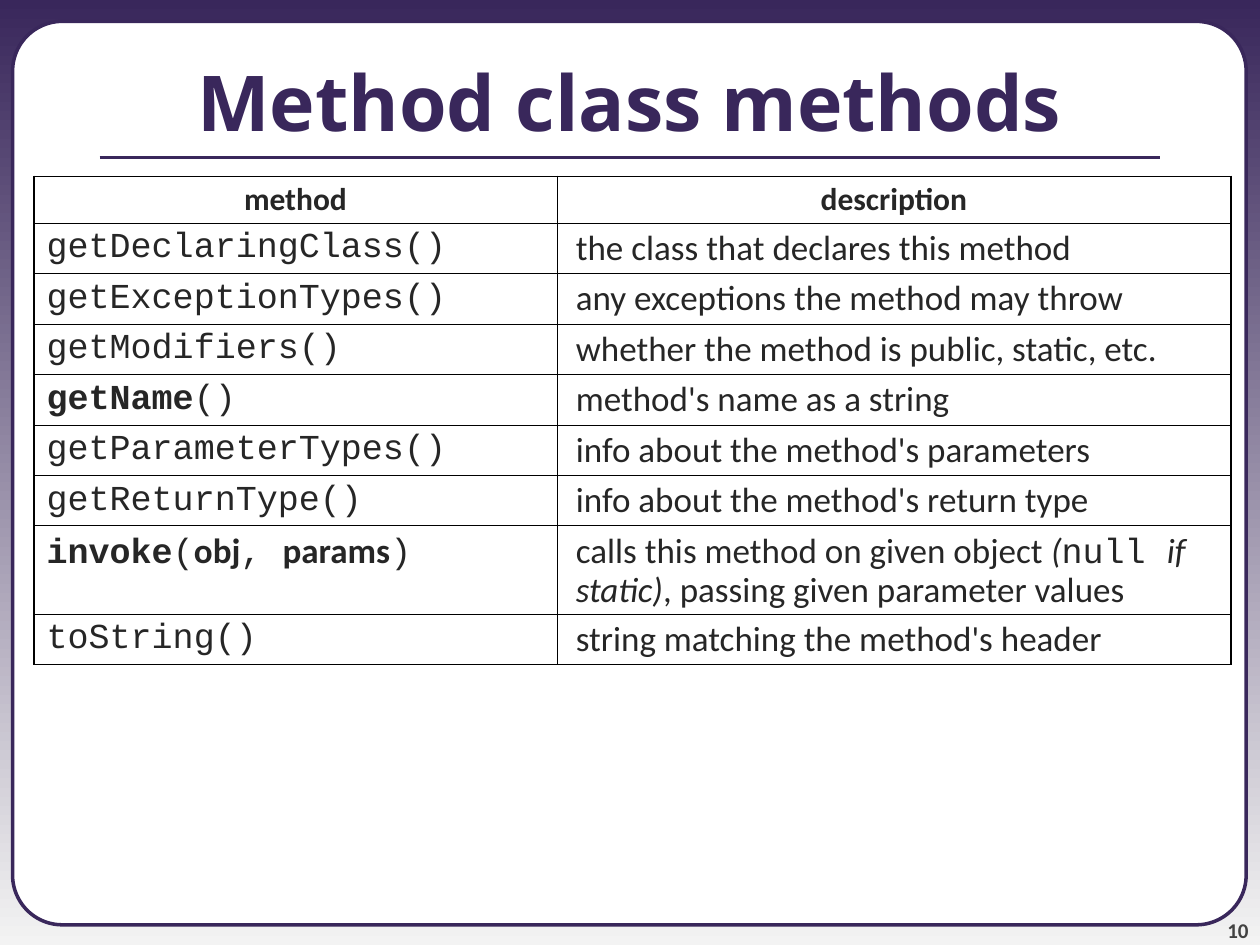
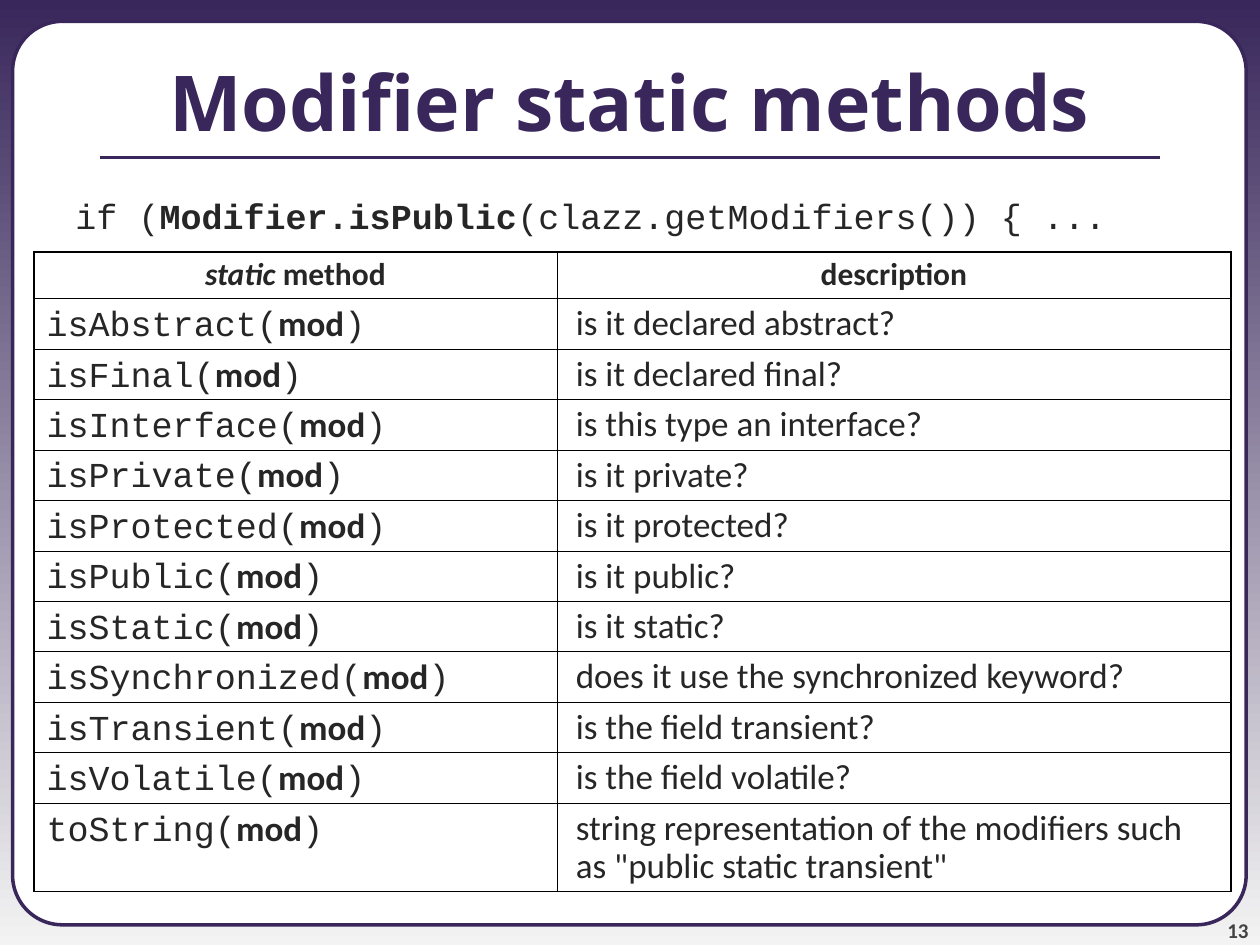
from lxml.etree import SubElement
from pptx import Presentation
from pptx.dml.color import RGBColor
from pptx.enum.shapes import MSO_CONNECTOR, MSO_SHAPE
from pptx.enum.text import MSO_ANCHOR, PP_ALIGN
from pptx.oxml import parse_xml
from pptx.oxml.ns import nsdecls, qn
from pptx.util import Inches, Pt

PURPLE = RGBColor(0x39, 0x27, 0x5B)
PALE = RGBColor(0xF3, 0xF3, 0xF3)
WHITE = RGBColor(0xFF, 0xFF, 0xFF)
INK = RGBColor(0x26, 0x26, 0x26)
GRAY = RGBColor(0x42, 0x42, 0x42)

# Run formats
TITLE = {"name": "Open Sans", "size": Pt(44), "bold": True}
NUMBER = {"name": "Calibri", "size": Pt(12), "bold": True}
HEAD = {"name": "Calibri", "size": Pt(18), "bold": True}
HEAD_ITALIC = {**HEAD, "italic": True}
TEXT = {"name": "Calibri", "size": Pt(20), "bold": False}
ITALIC = {**TEXT, "italic": True}
PARAM = {**TEXT, "bold": True}
CODE = {**TEXT, "name": "Courier New"}
CODE_BOLD = {**CODE, "bold": True}

COLUMNS = (4.15, 5.35)
HEAD_HEIGHT, LINE_HEIGHT, TWO_LINE_HEIGHT = 0.37, 0.4, 0.7
OUTER, INNER = Pt(1.08), Pt(0.45)

# Table rows: a list of (text, format) runs for each cell
method_rows = [
    ([("method", HEAD)], [("description", HEAD)]),
    ([("getDeclaringClass()", CODE)], [("the class that declares this method", TEXT)]),
    ([("getExceptionTypes()", CODE)], [("any exceptions the method may throw", TEXT)]),
    ([("getModifiers()", CODE)], [("whether the method is public, static, etc.", TEXT)]),
    ([("getName", CODE_BOLD), ("()", CODE)], [("method's name as a string", TEXT)]),
    ([("getParameterTypes()", CODE)], [("info about the method's parameters", TEXT)]),
    ([("getReturnType()", CODE)], [("info about the method's return type", TEXT)]),
    ([("invoke", CODE_BOLD), ("(", CODE), ("obj", PARAM), (", ", CODE),
      ("params", PARAM), (")", CODE)],
     [("calls this method on given object ", TEXT), ("(", ITALIC), ("null ", CODE),
      ("if static)", ITALIC), (", passing given parameter values", TEXT)]),
    ([("toString()", CODE)], [("string matching the method's header", TEXT)]),
]

modifier_checks = [
    ("isAbstract", "is it declared abstract?"),
    ("isFinal", "is it declared final?"),
    ("isInterface", "is this type an interface?"),
    ("isPrivate", "is it private?"),
    ("isProtected", "is it protected?"),
    ("isPublic", "is it public?"),
    ("isStatic", "is it static?"),
    ("isSynchronized", "does it use the synchronized keyword?"),
    ("isTransient", "is the field transient?"),
    ("isVolatile", "is the field volatile?"),
    ("toString", 'string representation of the modifiers such as "public static transient"'),
]
modifier_rows = [([("static", HEAD_ITALIC), (" method", HEAD)], [("description", HEAD)])]
for name, meaning in modifier_checks:
    modifier_rows.append(([(name + "(", CODE), ("mod", PARAM), (")", CODE)], [(meaning, TEXT)]))

modifier_code = [("if (", CODE), ("Modifier.isPublic", CODE_BOLD),
                 ("(clazz.getModifiers()) { ...", CODE)]

# title, page number, code line, table top, table rows, index of the two-line row
slides = [
    ("Method class methods", "10", None, 1.4, method_rows, 7),
    ("Modifier static methods", "13", modifier_code, 2, modifier_rows, 11),
]


def add_runs(p, runs, color=INK):
    for text, style in runs:
        r = p.add_run()
        r.text = text
        for key, value in style.items():
            setattr(r.font, key, value)
        r.font.color.rgb = color


def add_text(s, box, runs, color, frame, align):
    tf = s.shapes.add_textbox(*(Inches(v) for v in box)).text_frame
    for key, value in {"word_wrap": True, **frame}.items():
        setattr(tf, key, value)
    p = tf.paragraphs[0]
    p.alignment = align
    add_runs(p, runs, color)
    return p


prs = Presentation()
prs.slide_width, prs.slide_height = Inches(10), Inches(7.5)

for title, number, code, top, rows, two_line_row in slides:
    s = prs.slides.add_slide(prs.slide_layouts[6])

    # Background gradient, dark at the top
    fill = s.background.fill
    fill.gradient()
    fill.gradient_angle = 270
    for stop, color in zip(fill.gradient_stops, (PURPLE, PALE)):
        stop.color.rgb = color

    # White panel
    sp = s.shapes.add_shape(MSO_SHAPE.ROUNDED_RECTANGLE,
                            Inches(0.1), Inches(0.17), Inches(9.79), Inches(7.17))
    sp.adjustments[0] = 0.055
    sp.shadow.inherit = False
    sp.fill.solid()
    sp.fill.fore_color.rgb = WHITE
    sp.line.color.rgb = PURPLE
    sp.line.width = Pt(2)

    # Page number
    no_margins = {f"margin_{side}": 0 for side in ("left", "top", "right", "bottom")}
    add_text(s, (9.08, 7.08, 0.83, 0.4), [(number, NUMBER)], GRAY,
             {"vertical_anchor": MSO_ANCHOR.BOTTOM, **no_margins}, PP_ALIGN.RIGHT)

    # Title and its rule
    rule = s.shapes.add_connector(MSO_CONNECTOR.STRAIGHT, Inches(0.79), Inches(1.25),
                                  Inches(9.21), Inches(1.25))
    rule.line.color.rgb = PURPLE
    rule.line.width = Pt(2.25)
    SubElement(rule._element.spPr, qn("a:effectLst"))
    add_text(s, (0, 0.17, 10, 1.25), [(title, TITLE)], PURPLE,
             {"vertical_anchor": MSO_ANCHOR.MIDDLE}, PP_ALIGN.CENTER)

    # Code line above the table
    if code:
        p = add_text(s, (0, 1.42, 10, 6.08), code, INK,
                     {"margin_top": Inches(0.12)}, PP_ALIGN.LEFT)
        p._p.get_or_add_pPr().set("marL", str(Inches(0.5)))

    # Table
    heights = [HEAD_HEIGHT] + [LINE_HEIGHT] * (len(rows) - 1)
    heights[two_line_row] = TWO_LINE_HEIGHT
    table = s.shapes.add_table(len(rows), len(COLUMNS), Inches(0.27), Inches(top),
                               Inches(sum(COLUMNS)), Inches(sum(heights))).table
    table.first_row = table.horz_banding = False
    for column, width in zip(table.columns, COLUMNS):
        column.width = Inches(width)
    for row, height in zip(table.rows, heights):
        row.height = Inches(height)

    for i, row in enumerate(rows):
        for j, runs in enumerate(row):
            cell = table.cell(i, j)
            cell.fill.background()
            p = cell.text_frame.paragraphs[0]
            p.line_spacing = 0.9
            if i == 0:
                p.alignment = PP_ALIGN.CENTER
            elif j == 1:
                p._p.get_or_add_pPr().set("marL", str(Inches(0.05)))
            add_runs(p, runs)

            # Thicker borders around the outside of the table
            outside = {"lnL": j == 0, "lnR": j == 1, "lnT": i == 0, "lnB": i == len(rows) - 1}
            for k, (side, is_outer) in enumerate(outside.items()):
                border = parse_xml(
                    f'<a:{side} {nsdecls("a")} w="{OUTER if is_outer else INNER}">'
                    f'<a:solidFill><a:srgbClr val="000000"/></a:solidFill></a:{side}>')
                cell._tc.get_or_add_tcPr().insert(k, border)

prs.save("out.pptx")
